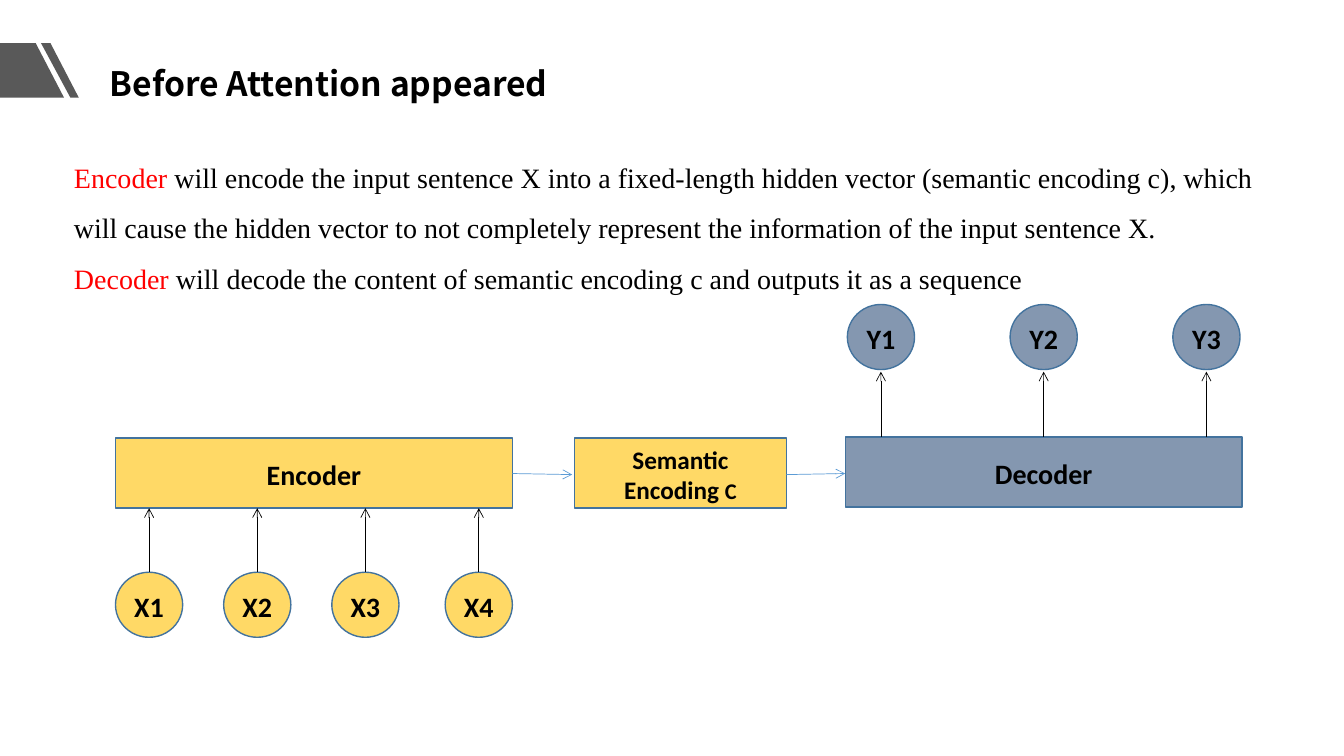
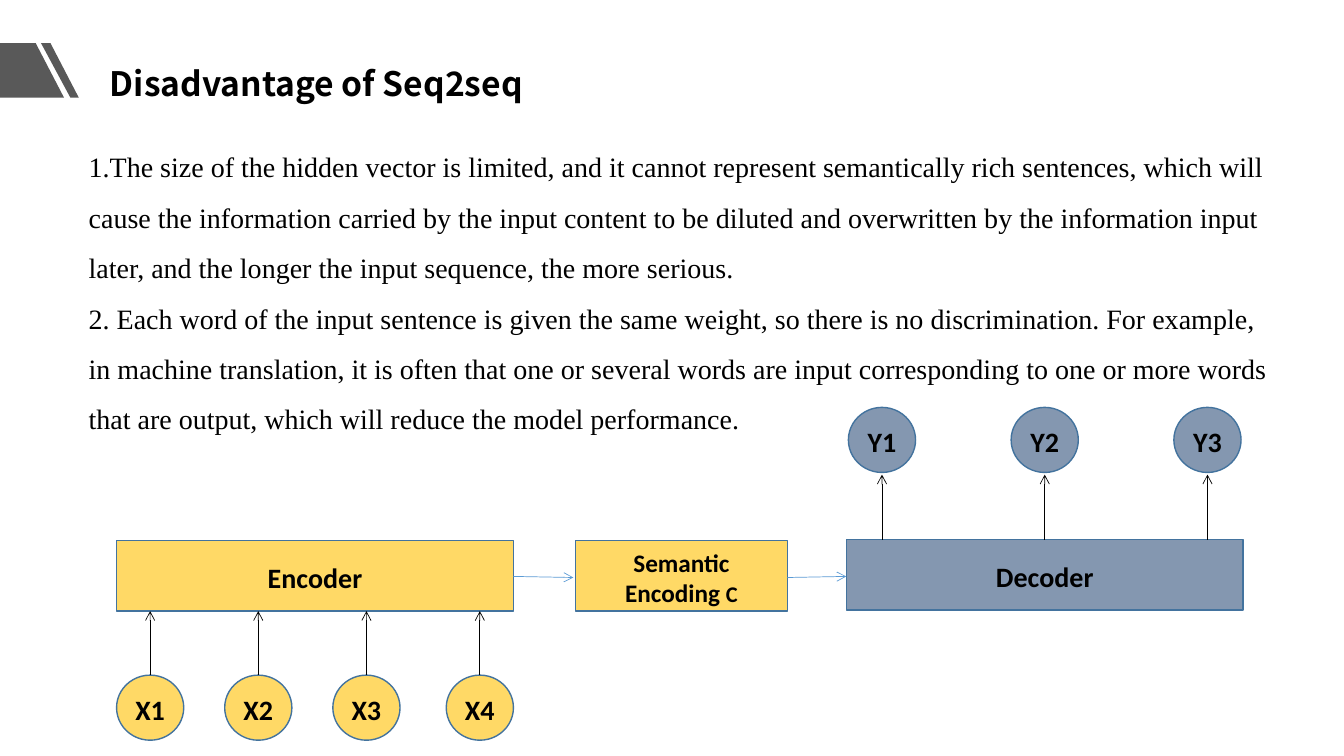
import lxml.etree
import pptx
import pptx.dml.color
import pptx.enum.shapes
import pptx.enum.text
import pptx.oxml.ns
import pptx.util

RGB = pptx.dml.color.RGBColor
KIND = pptx.enum.shapes.MSO_SHAPE
ALIGN = pptx.enum.text.PP_ALIGN
ANCHOR = pptx.enum.text.MSO_ANCHOR

BLACK = RGB(0x00, 0x00, 0x00)
RED = RGB(0xFF, 0x00, 0x00)
GREY = RGB(0x59, 0x59, 0x59)
GOLD = RGB(0xFF, 0xD9, 0x66)
SLATE = RGB(0x84, 0x97, 0xB0)
EDGE = RGB(0x43, 0x73, 0x9E)
BLUE = RGB(0x5B, 0x9B, 0xD5)

PX = 9525
WIDE, HIGH = 1280, 720
HEAD_FACE = "Noto Sans CJK SC"
BODY_FACE = "Times New Roman"
NODE_FACE = "Calibri"

BAR = (378, 67)
DOT = (64, 62)
CODE = (202, 67)
IN_LEFTS = (0, 103, 206, 314)
OUT_LEFT, OUT_STEP = 697, 155

SLIDES = [
    {
        "title": "Before Attention appeared",
        "box": (61, 132, 1169, 204),
        "paras": [
            [("Encoder", RED),
             (" will encode the input sentence X into a fixed-length hidden vector "
              "(semantic encoding c), which will cause the hidden vector to not "
              "completely represent the information of the input sentence X.", BLACK)],
            [("Decoder ", RED),
             ("will decode the content of semantic encoding c and outputs it "
              "as a sequence", BLACK)],
        ],
        "model": (110, 290),
    },
    {
        "title": "Disadvantage of Seq2seq",
        "box": (75, 122, 1142, 300),
        "paras": [
            [("1.The size of the hidden vector is limited, and it cannot represent "
              "semantically rich sentences, which will cause the information carried "
              "by the input content to be diluted and overwritten by the information "
              "input later, and the longer the input sequence, the more serious.", BLACK)],
            [("2. Each word of the input sentence is given the same weight, so there "
              "is no discrimination. For example, in machine translation, it is often "
              "that one or several words are input corresponding to one or more words "
              "that are output, which will reduce the model performance.", BLACK)],
        ],
        "model": (111, 388),
    },
]


def px(*sizes):
    """Turn pixel lengths into EMU."""
    return [pptx.util.Emu(size * PX) for size in sizes]


def style(para, face, size, bold=False):
    """Set the font that all runs of a paragraph share."""
    font = para.font
    font.name = face
    font.size = pptx.util.Pt(size)
    font.bold = bold
    font.color.rgb = BLACK


def node(slide, kind, box, fill, text, size=20, inset=0):
    """Draw a filled shape with a centred bold label and return its paragraph."""
    shape = slide.shapes.add_shape(kind, *px(*box))
    shape.shadow.inherit = False
    shape.fill.solid()
    shape.fill.fore_color.rgb = fill
    shape.line.color.rgb = EDGE
    shape.line.width = pptx.util.Pt(1)
    frame = shape.text_frame
    frame.word_wrap = True
    frame.vertical_anchor = ANCHOR.MIDDLE
    frame.margin_left = frame.margin_right = px(inset)[0]
    frame.margin_top, frame.margin_bottom = px(3, 0)
    para = frame.paragraphs[0]
    para.alignment = ALIGN.CENTER
    para.add_run().text = text
    style(para, NODE_FACE, size, True)
    return para


def arrow(slide, start, end, color):
    """Draw a thin line with an open arrowhead at its end."""
    wire = slide.shapes.add_connector(
        pptx.enum.shapes.MSO_CONNECTOR.STRAIGHT, *px(*start, *end))
    wire.line.color.rgb = color
    wire.line.width = pptx.util.Pt(0.5)
    qn = pptx.oxml.ns.qn
    props = wire._element.spPr
    lxml.etree.SubElement(props.find(qn("a:ln")), qn("a:tailEnd"), type="arrow")
    lxml.etree.SubElement(props, qn("a:effectLst"))


def mark(slide, left, top):
    """Draw the slanted grey band and its stripe."""
    band = [(0, 0), (34, 0), (61, 52), (0, 52)]
    stripe = [(39, 0), (48, 0), (75, 52), (67, 52)]
    for points in (band, stripe):
        pen = slide.shapes.build_freeform(*points[0], scale=PX)
        pen.add_line_segments(points[1:], close=True)
        shape = pen.convert_to_shape(*px(left, top))
        shape.shadow.inherit = False
        shape.fill.solid()
        shape.fill.fore_color.rgb = GREY
        shape.line.fill.background()


def head(slide, text, box):
    """Place and format the title."""
    title = slide.shapes.title
    title.left, title.top, title.width, title.height = px(*box)
    frame = title.text_frame
    frame.text = text
    frame.word_wrap = True
    frame.auto_size = pptx.enum.text.MSO_AUTO_SIZE.NONE
    frame.vertical_anchor = ANCHOR.MIDDLE
    para = frame.paragraphs[0]
    para.alignment = ALIGN.LEFT
    style(para, HEAD_FACE, 24, True)


def body(slide, paras, box):
    """Write the running text with coloured key words."""
    frame = slide.shapes.add_textbox(*px(*box)).text_frame
    frame.word_wrap = True
    for i, runs in enumerate(paras):
        para = frame.add_paragraph() if i else frame.paragraphs[0]
        para.line_spacing = 1.5
        style(para, BODY_FACE, 20)
        for text, color in runs:
            run = para.add_run()
            run.text = text
            run.font.color.rgb = color


def model(slide, left, top):
    """Draw the encoder, semantic code and decoder with inputs and outputs."""
    def at(x, y):
        return left + x, top + y

    mid = DOT[0] // 2
    node(slide, KIND.RECTANGLE, at(0, 127) + BAR, GOLD, "Encoder")
    node(slide, KIND.RECTANGLE, at(695, 126) + BAR, SLATE, "Decoder")
    code = node(slide, KIND.RECTANGLE, at(437, 127) + CODE, GOLD,
                "Semantic Encoding ", 18, 40)
    last = code.add_run()
    last.text = "C"
    last.font.size = pptx.util.Pt(16)
    for i, x in enumerate(IN_LEFTS, 1):
        node(slide, KIND.OVAL, at(x, 255) + DOT, GOLD, f"X{i}")
        arrow(slide, at(x + mid, 255), at(x + mid, 194), BLACK)
    for i in range(3):
        x = OUT_LEFT + i * OUT_STEP
        node(slide, KIND.OVAL, at(x, 0) + DOT, SLATE, f"Y{i + 1}")
        arrow(slide, at(x + mid, 126), at(x + mid, 64), BLACK)
    arrow(slide, at(378, 161), at(435, 162), BLUE)
    arrow(slide, at(639, 162), at(695, 161), BLUE)


def main():
    """Build and save the deck."""
    deck = pptx.Presentation()
    deck.slide_width, deck.slide_height = px(WIDE, HIGH)
    for page in SLIDES:
        slide = deck.slides.add_slide(deck.slide_layouts[5])
        mark(slide, 0, 41)
        head(slide, page["title"], (95, 55, 1000, 48))
        body(slide, page["paras"], page["box"])
        model(slide, *page["model"])
    deck.save("out.pptx")


if __name__ == "__main__":
    main()
